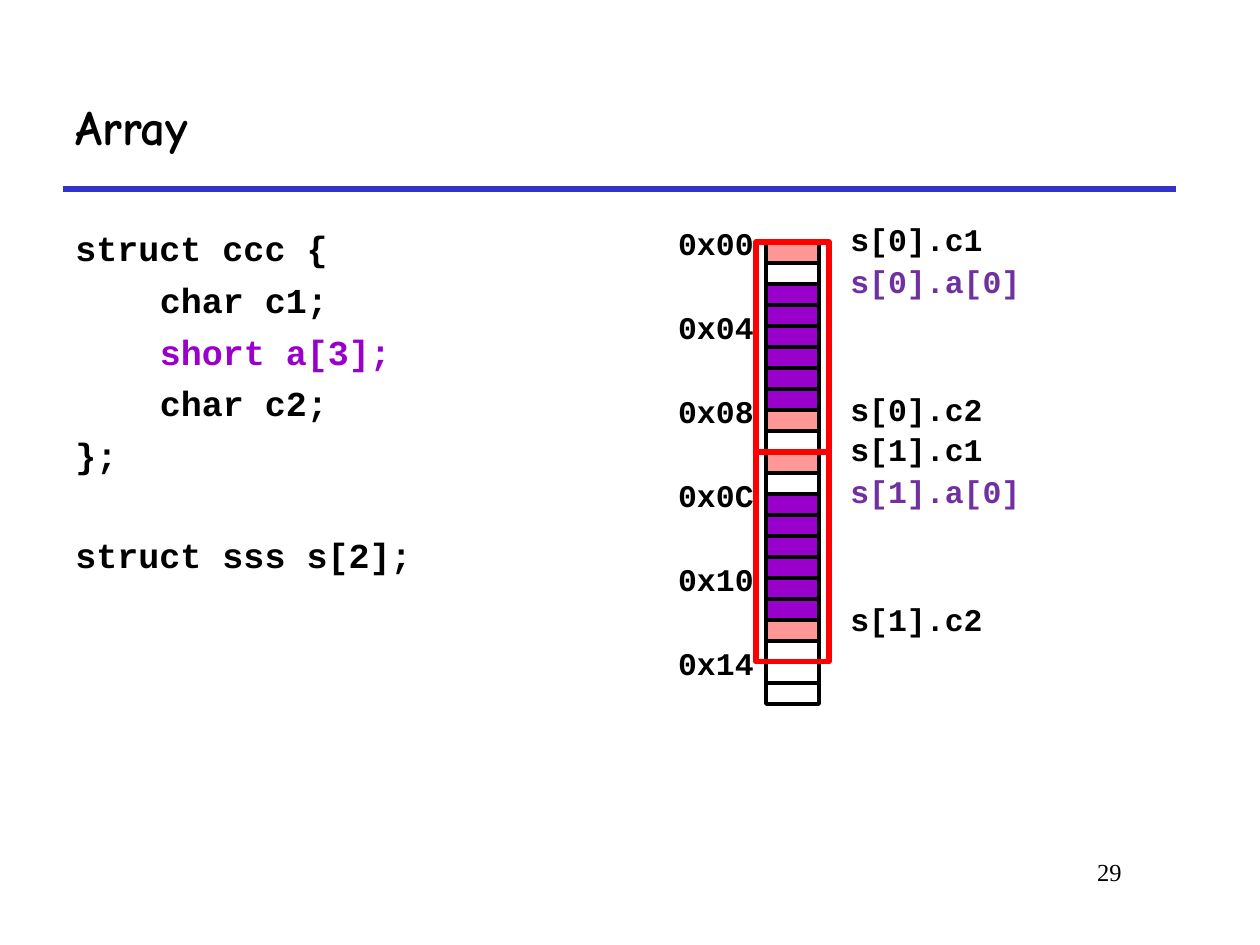
from dataclasses import dataclass

from lxml import etree
from pptx import Presentation
from pptx.dml.color import RGBColor
from pptx.enum.shapes import MSO_CONNECTOR, MSO_SHAPE
from pptx.enum.text import MSO_ANCHOR, PP_ALIGN
from pptx.oxml.ns import qn
from pptx.util import Inches, Pt

STRAIGHT = MSO_CONNECTOR.STRAIGHT
RECTANGLE = MSO_SHAPE.RECTANGLE
TOP, MIDDLE = MSO_ANCHOR.TOP, MSO_ANCHOR.MIDDLE
LEFT, RIGHT = PP_ALIGN.LEFT, PP_ALIGN.RIGHT


@dataclass(frozen=True)
class Theme:
    """Colours, fonts and type sizes of the slide."""
    black: str = "000000"
    rule: str = "3333CC"
    array: str = "9900CC"
    array_label: str = "7030A0"
    char: str = "FF9797"
    element: str = "FF0000"
    heading_font: str = "Comic Neue"
    code_font: str = "Courier New"
    number_font: str = "Times New Roman"
    heading_size: int = 28
    code_size: int = 20
    label_size: int = 18
    number_size: int = 14


THEME = Theme()
MEMORY_LEFT, MEMORY_TOP = 6.08, 1.92
CELL_WIDTH, CELL_HEIGHT = 0.42, 1 / 6
CELL_COUNT, ELEMENT_SIZE, ELEMENT_COUNT = 22, 10, 2
ELEMENT_HEIGHT = ELEMENT_SIZE * CELL_HEIGHT
CHAR_OFFSETS, ARRAY_OFFSETS = (0, 8), range(2, 8)
CODE_GAP, BLANK_LINE_GAP = 5.5, 33.5
CODE = [
    ("struct ccc {", 0, THEME.black, CODE_GAP),
    ("char c1;", 0.67, THEME.black, CODE_GAP),
    ("short a[3];", 0.67, THEME.array, CODE_GAP),
    ("char c2;", 0.67, THEME.black, CODE_GAP),
    ("};", 0, THEME.black, CODE_GAP),
    ("struct sss s[2];", 0, THEME.black, BLANK_LINE_GAP),
]
MEMBERS = [
    ("c1", 1.70, THEME.black),
    ("a[0]", 2.03, THEME.array_label),
    ("c2", 3.05, THEME.black),
]


def add_box(page, left, top, width, height, anchor=TOP):
    """Add an empty wrapping text box and return its text frame."""
    box = page.shapes.add_textbox(Inches(left), Inches(top), Inches(width), Inches(height))
    frame = box.text_frame
    frame.word_wrap = True
    frame.vertical_anchor = anchor
    return frame


def write(para, text, font, size, color=THEME.black, bold=True, align=LEFT, before=0):
    """Fill a paragraph and format its run."""
    para.text = text
    para.alignment = align
    para.space_before = Pt(before)
    span = para.runs[0]
    span.font.name = font
    span.font.size = Pt(size)
    span.font.bold = bold
    span.font.color.rgb = RGBColor.from_string(color)


def add_label(page, text, left, top, width, color=THEME.black, align=LEFT):
    """Add a one-line label beside the memory column."""
    frame = add_box(page, left, top, width, 0.4)
    write(frame.paragraphs[0], text, THEME.code_font, THEME.label_size, color,
          align=align, before=3.6)


def add_rectangle(page, left, top, width, height, line, weight, fill=None):
    """Add an outlined rectangle, filled when a colour is given."""
    shape = page.shapes.add_shape(
        RECTANGLE, Inches(left), Inches(top), Inches(width), Inches(height))
    shape.shadow.inherit = False
    shape.line.color.rgb = RGBColor.from_string(line)
    shape.line.width = Pt(weight)
    if fill:
        shape.fill.solid()
        shape.fill.fore_color.rgb = RGBColor.from_string(fill)
    else:
        shape.fill.background()


def add_rule(page):
    """Add the line below the title."""
    rule = page.shapes.add_connector(
        STRAIGHT, Inches(0.5), Inches(1.5), Inches(9.33), Inches(1.5))
    rule.line.color.rgb = RGBColor.from_string(THEME.rule)
    rule.line.width = Pt(3)
    etree.SubElement(rule._element.spPr, qn("a:effectLst"))


def add_code(page):
    """Add the structure declaration."""
    frame = add_box(page, 0.5, 1.75, 3.33, 4.25)
    for index, (text, indent, color, gap) in enumerate(CODE):
        para = frame.add_paragraph() if index else frame.paragraphs[0]
        write(para, text, THEME.code_font, THEME.code_size, color, before=gap)
        para._p.get_or_add_pPr().set("marL", str(Inches(indent)))


def cell_fill(index):
    """Return the colour of a memory byte, or None for padding."""
    element, offset = divmod(index, ELEMENT_SIZE)
    if element >= ELEMENT_COUNT:
        return None
    if offset in CHAR_OFFSETS:
        return THEME.char
    return THEME.array if offset in ARRAY_OFFSETS else None


def add_memory(page):
    """Add the memory column with addresses, member names and element frames."""
    for index in range(CELL_COUNT):
        add_rectangle(page, MEMORY_LEFT, MEMORY_TOP + index * CELL_HEIGHT,
                      CELL_WIDTH, CELL_HEIGHT, THEME.black, 2.25, cell_fill(index))
    for address in range(0, CELL_COUNT, 4):
        add_label(page, f"0x{address:02X}", 5.25, 1.73 + address * CELL_HEIGHT,
                  0.83, align=RIGHT)
    for element in range(ELEMENT_COUNT):
        shift = element * ELEMENT_HEIGHT
        for member, top, color in MEMBERS:
            add_label(page, f"s[{element}].{member}", 6.65, top + shift, 1.77, color)
        add_rectangle(page, 6, MEMORY_TOP + shift, 0.58, ELEMENT_HEIGHT, THEME.element, 3)


def main():
    """Build and save the slide."""
    deck = Presentation()
    deck.slide_width, deck.slide_height = Inches(10), Inches(7.5)
    page = deck.slides.add_slide(deck.slide_layouts[6])
    add_rule(page)
    number = add_box(page, 7.58, 6.75, 1.42, 0.5)
    write(number.paragraphs[0], "29", THEME.number_font, THEME.number_size,
          bold=False, align=RIGHT)
    title = add_box(page, 0.5, 0.5, 8.83, 1, MIDDLE)
    write(title.paragraphs[0], "Array", THEME.heading_font, THEME.heading_size)
    add_code(page)
    add_memory(page)
    deck.save("out.pptx")


main()
